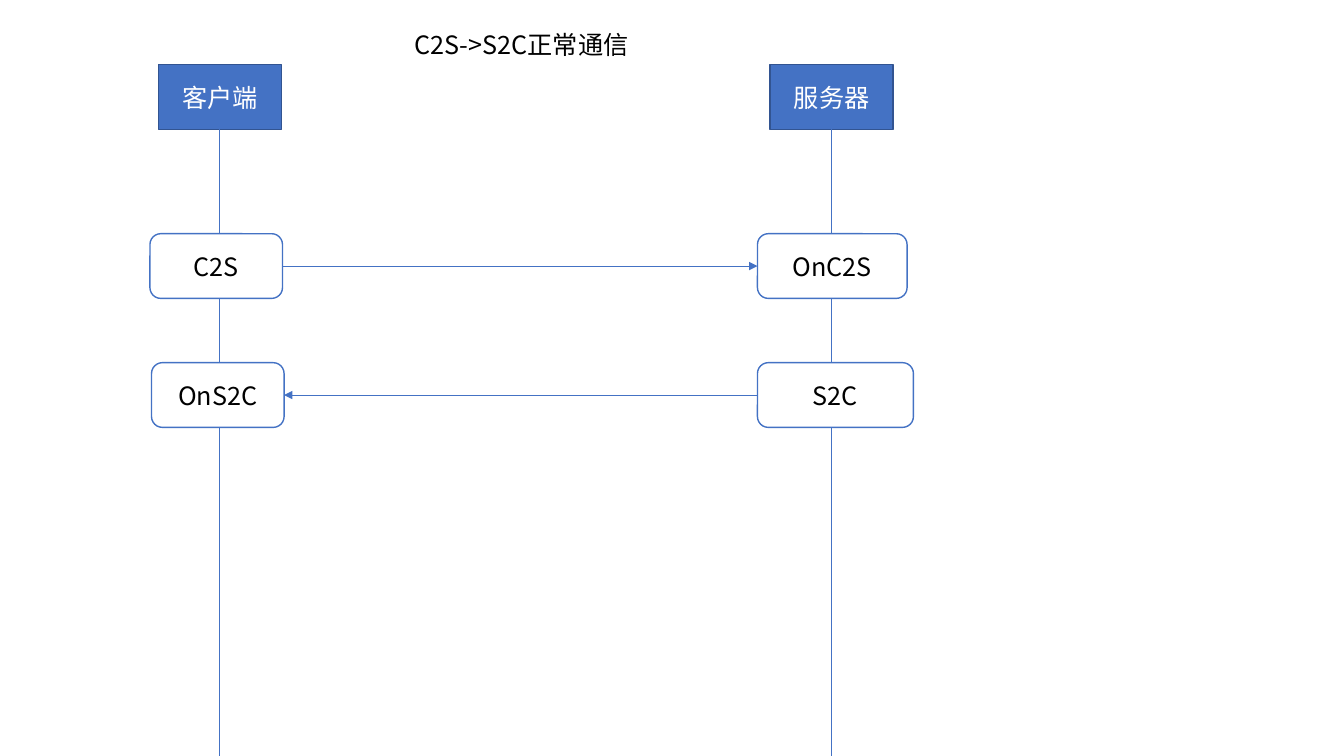
import pptx
import pptx.util
import pptx.dml.color
import pptx.enum.shapes
import pptx.enum.text
import pptx.oxml
import pptx.oxml.ns
from dataclasses import dataclass

Cm = pptx.util.Cm
Pt = pptx.util.Pt
Kind = pptx.enum.shapes.MSO_SHAPE
Text = pptx.enum.text

TITLE = "C2S->S2C正常通信"
ROLES = [("客户端", 5.54), ("服务器", 20.96)]
STEPS = {
    "C2S": (3.78, 5.89, 3.34),
    "OnC2S": (19.09, 5.89, 3.77),
    "S2C": (19.09, 9.14, 3.93),
    "OnS2C": (3.82, 9.14, 3.34),
}
CALLS = [("C2S", 3, "OnC2S", 1), ("S2C", 1, "OnS2C", 3)]
WIDE, HIGH = 33.87, 19.05
HEAD_TOP, HEAD_WIDE, BOX_HIGH = 1.63, 3.1, 1.63


@dataclass
class Theme:
    font: str = "Noto Sans CJK SC"
    size: int = 18
    blue: str = "4472C4"
    edge: str = "325491"
    white: str = "FFFFFF"
    black: str = "000000"
    thin: float = 0.5
    thick: float = 1


theme = Theme()


def color(code):
    return pptx.dml.color.RGBColor.from_string(code)


def write(frame, text, ink, align):
    frame.text = text
    para = frame.paragraphs[0]
    para.alignment = align
    font = para.font
    font.name, font.size = theme.font, Pt(theme.size)
    font.color.rgb = color(ink)
    latin = para._p.pPr.find(".//" + pptx.oxml.ns.qn("a:latin"))
    asian = pptx.oxml.parse_xml(f'<a:ea {pptx.oxml.ns.nsdecls("a")} typeface="{theme.font}"/>')
    latin.addnext(asian)


def box(slide, kind, text, left, top, wide, fill, edge, ink):
    shape = slide.shapes.add_shape(kind, Cm(left), Cm(top), Cm(wide), Cm(BOX_HIGH))
    shape.shadow.inherit = False
    shape.fill.solid()
    shape.fill.fore_color.rgb = color(fill)
    shape.line.color.rgb = color(edge)
    shape.line.width = Pt(theme.thick)
    shape.text_frame.vertical_anchor = Text.MSO_ANCHOR.MIDDLE
    write(shape.text_frame, text, ink, Text.PP_ALIGN.CENTER)
    return shape


def link(slide, start, side, x=0, y=0):
    line = slide.shapes.add_connector(pptx.enum.shapes.MSO_CONNECTOR.STRAIGHT, 0, 0, Cm(x), Cm(y))
    line.begin_connect(start, side)
    line.line.color.rgb = color(theme.blue)
    line.line.width = Pt(theme.thin)
    line._element.spPr.append(pptx.oxml.parse_xml(f'<a:effectLst {pptx.oxml.ns.nsdecls("a")}/>'))
    return line


def main():
    deck = pptx.Presentation()
    deck.slide_width, deck.slide_height = Cm(WIDE), Cm(HIGH)
    slide = deck.slides.add_slide(deck.slide_layouts[5])

    title = slide.shapes.title
    title.left, title.top, title.width, title.height = Cm(10.19), Cm(0.61), Cm(6.12), Cm(1.02)
    title.text_frame.word_wrap = False
    title.text_frame.auto_size = Text.MSO_AUTO_SIZE.NONE
    title.text_frame.vertical_anchor = Text.MSO_ANCHOR.TOP
    write(title.text_frame, TITLE, theme.black, Text.PP_ALIGN.LEFT)

    for name, mid in ROLES:
        head = box(slide, Kind.RECTANGLE, name, mid - HEAD_WIDE / 2, HEAD_TOP, HEAD_WIDE,
                   theme.blue, theme.edge, theme.white)
        link(slide, head, 2, mid, HIGH)

    boxes = {
        name: box(slide, Kind.ROUNDED_RECTANGLE, name, *place,
                  theme.white, theme.blue, theme.black)
        for name, place in STEPS.items()
    }

    for source, out, target, into in CALLS:
        line = link(slide, boxes[source], out)
        line.end_connect(boxes[target], into)
        tail = pptx.oxml.parse_xml(f'<a:tailEnd {pptx.oxml.ns.nsdecls("a")} type="triangle"/>')
        line.line._get_or_add_ln().append(tail)

    deck.save("out.pptx")


if __name__ == "__main__":
    main()
